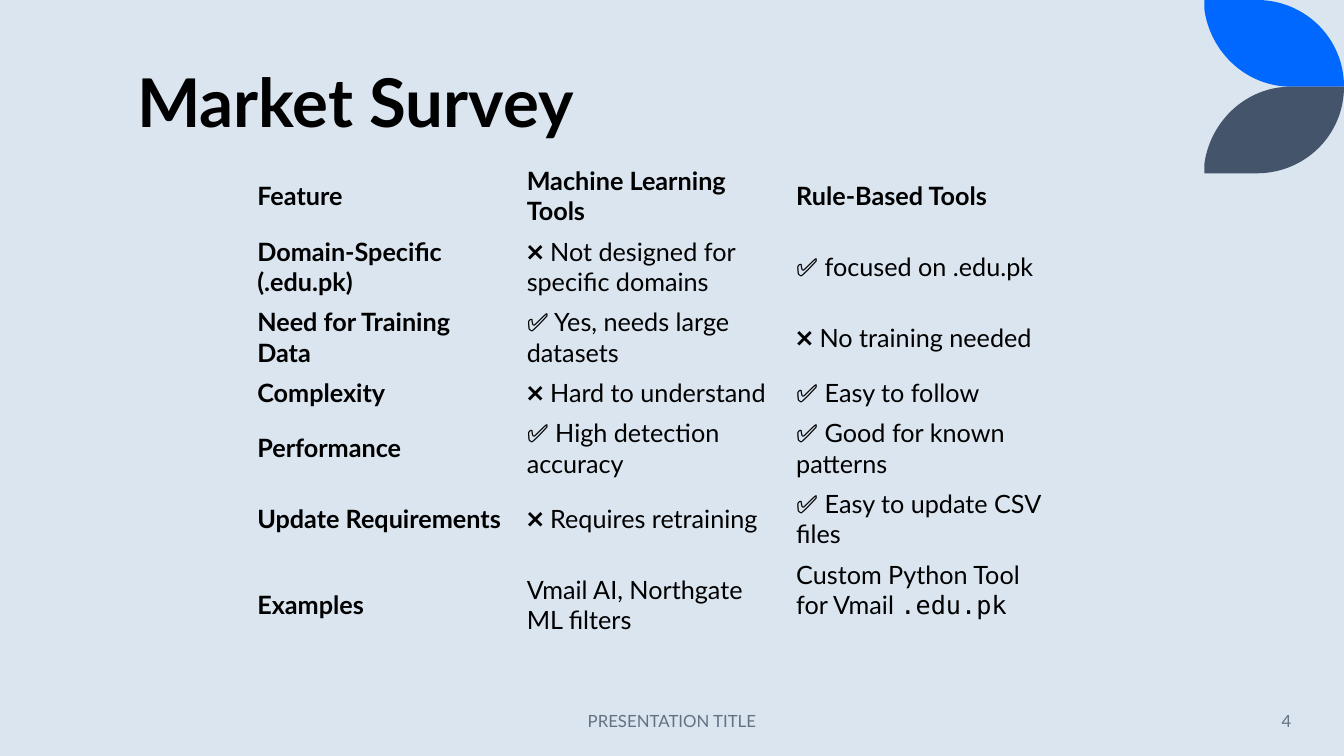
from lxml.etree import SubElement
from pptx import Presentation
from pptx.dml.color import RGBColor
from pptx.enum.text import MSO_ANCHOR as Anchor, MSO_AUTO_SIZE as AutoSize, PP_ALIGN as Align
from pptx.oxml.ns import qn
from pptx.util import Pt

BACKGROUND = RGBColor(0xDA, 0xE5, 0xEF)
BLUE = RGBColor(0x00, 0x68, 0xFF)
SLATE = RGBColor(0x44, 0x54, 0x6A)
BLACK = RGBColor(0x00, 0x00, 0x00)
GREY = RGBColor(0x63, 0x71, 0x83)
FONT, MONO = "Lato", "DejaVu Sans Mono"
NO_STYLE_NO_GRID = "{2D5ABB26-0587-4C30-8999-92F81FD0307C}"

LEAF_CORNERS = [(0, 0), (0.375, 0), (1, 1), (0.62, 1), (0, 0.1)]
LEAF_CURVES = {2: [(0.72, 0), (1, 0.44)], 4: [(0.3, 1), (0.04, 0.6)]}

SURVEY = [
    ("Feature", "Machine Learning Tools", "Rule-Based Tools"),
    ("Domain-Specific (.edu.pk)", "❌ Not designed for specific domains", "✅ focused on .edu.pk"),
    ("Need for Training Data", "✅ Yes, needs large datasets", "❌ No training needed"),
    ("Complexity", "❌ Hard to understand", "✅ Easy to follow"),
    ("Performance", "✅ High detection accuracy", "✅ Good for known patterns"),
    ("Update Requirements", "❌ Requires retraining", "✅ Easy to update CSV files"),
    ("Examples", "Vmail AI, Northgate ML filters", "Custom Python Tool for Vmail "),
]
ROW_LINES = [2, 2, 2, 1, 2, 2, 3]
LINE_HEIGHT, CELL_PADDING = 21.6, 7.2


def style_run(run, size, color, bold=False, font=FONT):
    """Apply the font settings to one run."""
    run.font.name, run.font.size, run.font.bold = font, Pt(size), bold
    run.font.color.rgb = color


def add_leaf(slide, left, top, width, height, color, mirrored=False):
    """Draw one curved leaf filling the box, mirrored top to bottom on request."""
    def place(corner):
        x, y = corner
        return Pt(x * width), Pt((1 - y if mirrored else y) * height)

    corners = [(Pt(left) + x, Pt(top) + y) for x, y in map(place, LEAF_CORNERS)]
    builder = slide.shapes.build_freeform(*corners[0], scale=1.0)
    builder.add_line_segments(corners[1:], close=True)
    leaf = builder.convert_to_shape()
    sides = list(leaf.element.iter(qn("a:lnTo")))
    for corner_index, controls in LEAF_CURVES.items():
        side = sides[corner_index - 1]
        side.tag = qn("a:cubicBezTo")
        end = side[0]
        for x, y in map(place, controls):
            SubElement(side, qn("a:pt"), x=str(int(x)), y=str(int(y)))
        side.append(end)
    leaf.shadow.inherit = False
    leaf.fill.solid()
    leaf.fill.fore_color.rgb = color
    leaf.line.fill.background()


def add_leaves(slide, left, top, width, height):
    """Stack the two corner leaves in the box."""
    half = height / 2
    add_leaf(slide, left, top, width, half, BLUE)
    add_leaf(slide, left, top + half, width, half, SLATE, mirrored=True)


def add_title(slide, left, top, width, height):
    """Place the title placeholder in the box."""
    title = slide.shapes.title
    title.left, title.top, title.width, title.height = Pt(left), Pt(top), Pt(width), Pt(height)
    frame = title.text_frame
    frame.text = "Market Survey"
    frame.auto_size = AutoSize.NONE
    frame.vertical_anchor = Anchor.BOTTOM
    heading = frame.paragraphs[0]
    heading.alignment, heading.line_spacing = Align.LEFT, 0.9
    style_run(heading.runs[0], 48, BLACK, bold=True)


def add_survey(slide, left, top, width):
    """Build the comparison table, its row heights set by the lines of text."""
    heights = [lines * LINE_HEIGHT + CELL_PADDING for lines in ROW_LINES]
    survey_frame = slide.shapes.add_table(len(SURVEY), len(SURVEY[0]), Pt(left), Pt(top),
                                          Pt(width), Pt(sum(heights)))
    survey_frame.element.find(".//" + qn("a:tableStyleId")).text = NO_STYLE_NO_GRID
    survey = survey_frame.table
    survey.first_row = survey.horz_banding = False
    for row_index, (entries, height) in enumerate(zip(SURVEY, heights)):
        survey.rows[row_index].height = Pt(height)
        for column_index, entry in enumerate(entries):
            cell = survey.cell(row_index, column_index)
            cell.fill.background()
            cell.vertical_anchor = Anchor.MIDDLE
            cell.text_frame.text = entry
            style_run(cell.text_frame.paragraphs[0].runs[0], 18, BLACK,
                      bold=row_index == 0 or column_index == 0)
    custom_tool = survey.cell(len(SURVEY) - 1, 2)
    custom_tool.vertical_anchor = Anchor.TOP
    domain = custom_tool.text_frame.paragraphs[0].add_run()
    domain.text = ".edu.pk"
    style_run(domain, 18, BLACK, font=MONO)


def add_footer(slide, left, top, width, height, words, alignment):
    """Write one footer entry in the box."""
    footer = slide.shapes.add_textbox(Pt(left), Pt(top), Pt(width), Pt(height))
    frame = footer.text_frame
    frame.word_wrap = True
    frame.vertical_anchor = Anchor.MIDDLE
    frame.text = words
    frame.paragraphs[0].alignment = alignment
    style_run(frame.paragraphs[0].runs[0], 12, GREY)


def main():
    """Build and save the slide."""
    deck = Presentation()
    deck.slide_width, deck.slide_height = Pt(960), Pt(540)
    slide = deck.slides.add_slide(deck.slide_layouts[5])
    slide.background.fill.solid()
    slide.background.fill.fore_color.rgb = BACKGROUND
    add_leaves(slide, 860.2, 0, 99.8, 123.8)
    add_title(slide, 90.7, 0.7, 769.7, 104.4)
    add_footer(slide, 318, 500.4, 324, 28.8, "PRESENTATION TITLE", Align.CENTER)
    add_footer(slide, 799.2, 500.4, 130.3, 28.8, "4", Align.RIGHT)
    add_survey(slide, 176.6, 114.8, 577.5)
    deck.save("out.pptx")


if __name__ == "__main__":
    main()
